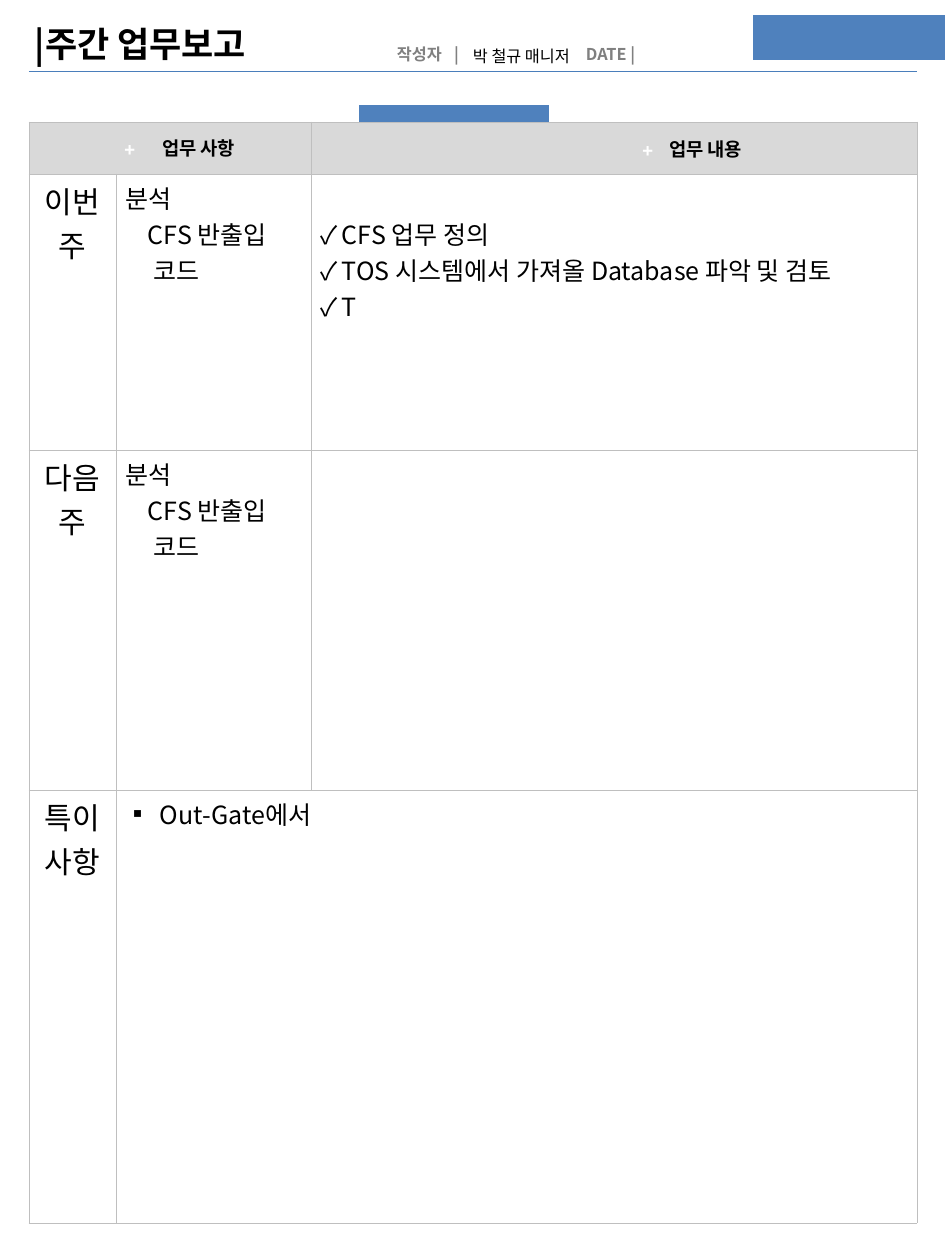
"""Build a one-page weekly work report slide."""
from lxml.etree import SubElement
from pptx import Presentation
from pptx.dml.color import RGBColor
from pptx.enum.shapes import MSO_CONNECTOR, MSO_SHAPE
from pptx.enum.text import MSO_ANCHOR, PP_ALIGN
from pptx.oxml.ns import qn
from pptx.util import Pt

PX = 10160
SANS = "Noto Sans CJK KR"
MONO = "Courier New"
HUES = {"black": "000000", "white": "FFFFFF", "gray": "808080", "head": "D9D9D9",
        "edge": "BFBFBF", "blue": "4F81BD", "rule": "4A7EBB"}


def put(frame, text, size=20, font=SANS, hue="black", bold=False, align=PP_ALIGN.LEFT,
        left=0, hang=0, mark=None, new=False):
    para = frame.add_paragraph() if new else frame.paragraphs[-1]
    para.alignment = align
    props = para._p.get_or_add_pPr()
    props.set("marL", str(left * PX))
    props.set("indent", str(-hang * PX))
    if mark:
        tint = SubElement(props, qn("a:buClr"))
        SubElement(tint, qn("a:srgbClr"), val=HUES["black"])
        SubElement(props, qn("a:buFont"), typeface=SANS)
        SubElement(props, qn("a:buChar"), char=mark)
    run = para.add_run()
    run.text = text
    run.font.size = Pt(size)
    run.font.bold = bold
    run.font.name = font
    run.font.color.rgb = RGBColor.from_string(HUES[hue])
    SubElement(run._r.get_or_add_rPr(), qn("a:ea"), typeface=font)


def dress(cell, fill, edges):
    props = cell._tc.get_or_add_tcPr()
    for side, (hue, width) in zip("LRTB", edges):
        line = SubElement(props, qn("a:ln" + side), w=str(Pt(width)))
        paint = SubElement(line, qn("a:solidFill"))
        SubElement(paint, qn("a:srgbClr"), val=HUES[hue])
    cell.fill.solid()
    cell.fill.fore_color.rgb = RGBColor.from_string(HUES[fill])
    cell.margin_left = cell.margin_right = 10 * PX
    cell.margin_top = cell.margin_bottom = 5 * PX


deck = Presentation()
deck.slide_width, deck.slide_height = 945 * PX, 1260 * PX
slide = deck.slides.add_slide(deck.slide_layouts[6])
shapes = slide.shapes

blocks = {}
for name, hue, x, y, w, h in [("title", "white", 5, 16, 271, 49),
                              ("tab", "blue", 358, 104, 192, 161)]:
    block = shapes.add_shape(MSO_SHAPE.RECTANGLE, x * PX, y * PX, w * PX, h * PX)
    block.shadow.inherit = False
    block.fill.solid()
    block.fill.fore_color.rgb = RGBColor.from_string(HUES[hue])
    block.line.fill.background()
    blocks[name] = block.text_frame
blocks["title"].word_wrap = False
blocks["title"].vertical_anchor = MSO_ANCHOR.TOP
blocks["title"].margin_top = blocks["title"].margin_bottom = 6 * PX
put(blocks["title"], "|주간 업무보고", size=28, bold=True, align=PP_ALIGN.CENTER)

for x1, y1, x2, y2, hue, width in [(29, 71, 917, 71, "rule", 0.75),
                                   (358, 104, 358, 265, "white", 1),
                                   (550, 104, 550, 265, "white", 1),
                                   (358, 104, 550, 104, "white", 1),
                                   (358, 265, 550, 265, "white", 3)]:
    line = shapes.add_connector(MSO_CONNECTOR.STRAIGHT, x1 * PX, y1 * PX, x2 * PX, y2 * PX)
    line.line.color.rgb = RGBColor.from_string(HUES[hue])
    line.line.width = Pt(width)
    SubElement(line._element.spPr, qn("a:effectLst"))

cols, rows = [87, 195, 606], [52, 276, 340, 433]
grid = shapes.add_table(4, 3, 29 * PX, 122 * PX, sum(cols) * PX, sum(rows) * PX).table
for col, width in zip(grid.columns, cols):
    col.width = width * PX
for row, height in zip(grid.rows, rows):
    row.height = height * PX
for r in range(4):
    for c in range(3):
        dress(grid.cell(r, c), "white" if r else "head", [("edge", 0.45)] * 4)
grid.cell(0, 0).merge(grid.cell(0, 1))
grid.cell(3, 1).merge(grid.cell(3, 2))

for r, text in enumerate(["이번주", "다음주", "특이사항"], 1):
    put(grid.cell(r, 0).text_frame, text, size=24, align=PP_ALIGN.CENTER)
for r in (1, 2):
    frame = grid.cell(r, 1).text_frame
    put(frame, "분석")
    put(frame, "CFS 반출입", left=22, new=True)
    put(frame, "코드", left=28, new=True)

tasks = grid.cell(1, 2)
tasks.margin_top = 41 * PX
for i, text in enumerate(["CFS 업무 정의", "TOS 시스템에서 가져올 Database 파악 및 검토", "T"]):
    put(tasks.text_frame, text, left=21, hang=21, mark="✓", new=i > 0)
put(grid.cell(3, 1).text_frame, "Out-Gate에서", left=34, hang=34, mark="▪")

label = dict(size=13, hue="gray", bold=True)
plus = dict(size=15, font=MONO, hue="white", bold=True)
head = dict(size=15, bold=True)
top, mid = MSO_ANCHOR.TOP, MSO_ANCHOR.MIDDLE
for x, y, w, h, anchor, text, form in [
        (384, 38, 75, 32, top, "작성자", label),
        (441, 38, 32, 32, top, "|", label),
        (573, 38, 90, 32, top, "DATE |", label),
        (460, 40, 140, 32, top, "박 철규 매니저", dict(size=13)),
        (111, 130, 40, 38, mid, "+", plus),
        (149, 129, 112, 38, mid, "업무 사항", head),
        (629, 131, 40, 38, mid, "+", plus),
        (656, 130, 112, 38, mid, "업무 내용", head)]:
    frame = shapes.add_textbox(x * PX, y * PX, w * PX, h * PX).text_frame
    frame.word_wrap = True
    frame.vertical_anchor = anchor
    frame.margin_left = frame.margin_right = 13 * PX
    frame.margin_top = frame.margin_bottom = 6 * PX
    put(frame, text, **form)

badge = shapes.add_table(1, 1, 752 * PX, 14 * PX, 193 * PX, 47 * PX).table
dress(badge.cell(0, 0), "blue", [("white", 0.45)] * 3 + [("white", 1.47)])

deck.save("out.pptx")
